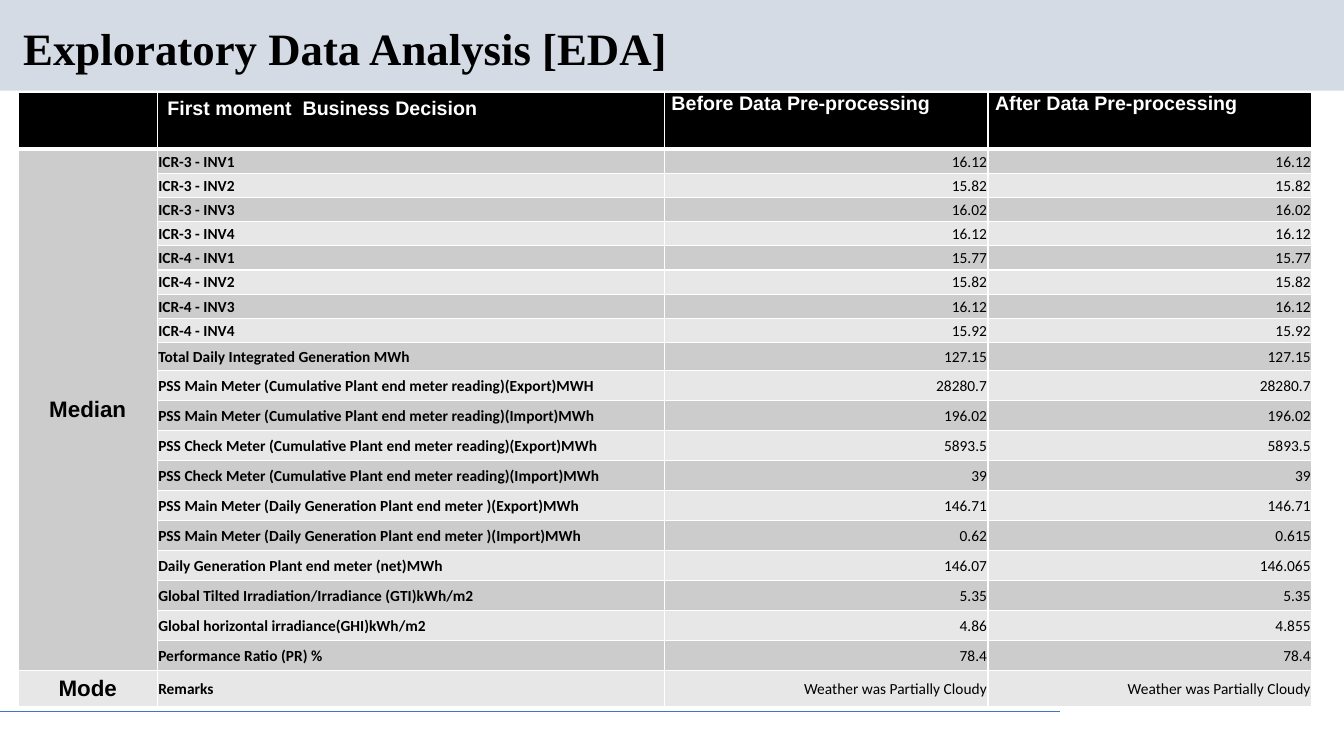
"""Builds the exploratory data analysis slide with its median and mode table."""
from dataclasses import dataclass

from lxml.etree import SubElement
from pptx import Presentation
from pptx.dml.color import RGBColor
from pptx.enum.shapes import MSO_CONNECTOR, MSO_SHAPE
from pptx.enum.text import MSO_ANCHOR, PP_ALIGN
from pptx.oxml.ns import qn
from pptx.util import Inches, Pt

TITLE = "Exploratory Data Analysis [EDA]"
HEADERS = ["", "First moment  Business Decision", "Before Data Pre-processing", "After Data Pre-processing"]
MEDIANS = [
    ("ICR-3 - INV1", "16.12", "16.12"),
    ("ICR-3 - INV2", "15.82", "15.82"),
    ("ICR-3 - INV3", "16.02", "16.02"),
    ("ICR-3 - INV4", "16.12", "16.12"),
    ("ICR-4 - INV1", "15.77", "15.77"),
    ("ICR-4 - INV2", "15.82", "15.82"),
    ("ICR-4 - INV3", "16.12", "16.12"),
    ("ICR-4 - INV4", "15.92", "15.92"),
    ("Total Daily Integrated Generation MWh", "127.15", "127.15"),
    ("PSS Main Meter (Cumulative Plant end meter reading)(Export)MWH", "28280.7", "28280.7"),
    ("PSS Main Meter (Cumulative Plant end meter reading)(Import)MWh", "196.02", "196.02"),
    ("PSS Check Meter (Cumulative Plant end meter reading)(Export)MWh", "5893.5", "5893.5"),
    ("PSS Check Meter (Cumulative Plant end meter reading)(Import)MWh", "39", "39"),
    ("PSS Main Meter (Daily Generation Plant end meter )(Export)MWh", "146.71", "146.71"),
    ("PSS Main Meter (Daily Generation Plant end meter )(Import)MWh", "0.62", "0.615"),
    ("Daily Generation Plant end meter (net)MWh", "146.07", "146.065"),
    ("Global Tilted Irradiation/Irradiance (GTI)kWh/m2", "5.35", "5.35"),
    ("Global horizontal irradiance(GHI)kWh/m2", "4.86", "4.855"),
    ("Performance Ratio (PR) %", "78.4", "78.4"),
]
MODE = ("Remarks", "Weather was Partially Cloudy", "Weather was Partially Cloudy")
COLS = [1.38, 5.03, 3.21, 3.21]
TABLE_H = 6.1
HEAD_H, INVERTER_H, TOTAL_H, MODE_H = 0.56, 0.24, 0.28, 0.36
INVERTERS = 8


@dataclass(frozen=True)
class Theme:
    """Colours, fonts and type sizes of the slide."""
    band: str = "D5DBE5"
    rule: str = "4472C4"
    ink: str = "000000"
    paper: str = "FFFFFF"
    stripes: tuple = ("CCCCCC", "E7E7E7")
    title_font: str = "Times New Roman"
    head_font: str = "Arial"
    body_font: str = "Calibri"
    title: int = 32
    group: int = 16
    head: int = 14
    body: int = 11


T = Theme()


def write(tf, text, font=T.body_font, size=T.body, color=T.ink, bold=True, align=PP_ALIGN.LEFT):
    """Put one formatted run into the first paragraph of a text frame."""
    p = tf.paragraphs[0]
    p.alignment = align
    r = p.add_run()
    r.text = text
    r.font.name, r.font.size, r.font.bold = font, Pt(size), bold
    r.font.color.rgb = RGBColor.from_string(color)
    return p


def style_cell(cell, fill, margins=None, anchor=MSO_ANCHOR.MIDDLE, bottom=1):
    """Set the fill, insets, anchor and white borders of a cell."""
    cell.vertical_anchor = anchor
    if margins:
        cell.margin_left, cell.margin_top, cell.margin_right, cell.margin_bottom = map(Inches, margins)
    tcPr = cell._tc.get_or_add_tcPr()
    for side, width in (("L", 1), ("R", 1), ("T", 1), ("B", bottom)):
        ln = SubElement(tcPr, qn(f"a:ln{side}"), w=str(Pt(width)))
        SubElement(SubElement(ln, qn("a:solidFill")), qn("a:srgbClr"), val=T.paper)
    cell.fill.solid()
    cell.fill.fore_color.rgb = RGBColor.from_string(fill)


def add_frame(s):
    """Add the title, the band behind it and the rule at the foot."""
    title = s.shapes.title
    title.left, title.top, title.width, title.height = map(Inches, (0.13, 0.21, 10.11, 0.59))
    title.text_frame.vertical_anchor = MSO_ANCHOR.MIDDLE
    write(title.text_frame, TITLE, font=T.title_font, size=T.title).line_spacing = 0.9
    band = s.shapes.add_shape(MSO_SHAPE.RECTANGLE, 0, 0, Inches(13.33), Inches(0.9))
    band.shadow.inherit = False
    band.fill.solid()
    band.fill.fore_color.rgb = RGBColor.from_string(T.band)
    band.line.fill.background()
    title.element.addprevious(band.element)
    rule = s.shapes.add_connector(MSO_CONNECTOR.STRAIGHT, 0, Inches(7.06), Inches(10.51), Inches(7.06))
    rule.line.color.rgb = RGBColor.from_string(T.rule)
    rule.line.width = Pt(0.75)
    SubElement(rule.element.spPr, qn("a:effectLst"))


def add_statistics(s):
    """Add the table of medians and the mode."""
    rows = [*MEDIANS, MODE]
    meters = len(MEDIANS) - INVERTERS - 1
    meter_h = (TABLE_H - HEAD_H - INVERTERS * INVERTER_H - TOTAL_H - MODE_H) / meters
    heights = [HEAD_H] + [INVERTER_H] * INVERTERS + [TOTAL_H] + [meter_h] * meters + [MODE_H]
    frame = s.shapes.add_table(len(heights), len(COLS), Inches(0.18), Inches(0.92),
                               Inches(sum(COLS)), Inches(TABLE_H))
    table = frame.table
    for col, width in zip(table.columns, COLS):
        col.width = Inches(width)
    for row, height in zip(table.rows, heights):
        row.height = Inches(height)
    for j, text in enumerate(HEADERS):
        cell = table.cell(0, j)
        style_cell(cell, T.ink, (0.07, 0, 0.07, 0) if j > 1 else None, MSO_ANCHOR.TOP, bottom=3)
        if text:
            write(cell.text_frame, text, font=T.head_font, size=T.head, color=T.paper)
    for i, values in enumerate(rows, 1):
        fill = T.stripes[(i - 1) % 2]
        style_cell(table.cell(i, 0), fill)
        for j, text in enumerate(values, 1):
            cell = table.cell(i, j)
            style_cell(cell, fill, (0.01, 0.01, 0.01, 0))
            write(cell.text_frame, text, bold=j == 1, align=PP_ALIGN.LEFT if j == 1 else PP_ALIGN.RIGHT)
    table.cell(1, 0).merge(table.cell(len(MEDIANS), 0))
    for i, text in ((1, "Median"), (len(rows), "Mode")):
        write(table.cell(i, 0).text_frame, text, font=T.head_font, size=T.group, align=PP_ALIGN.CENTER)


def main():
    """Build and save the slide."""
    prs = Presentation()
    prs.slide_width, prs.slide_height = Inches(13.33), Inches(7.5)
    s = prs.slides.add_slide(prs.slide_layouts[5])
    add_frame(s)
    add_statistics(s)
    prs.save("out.pptx")


if __name__ == "__main__":
    main()
